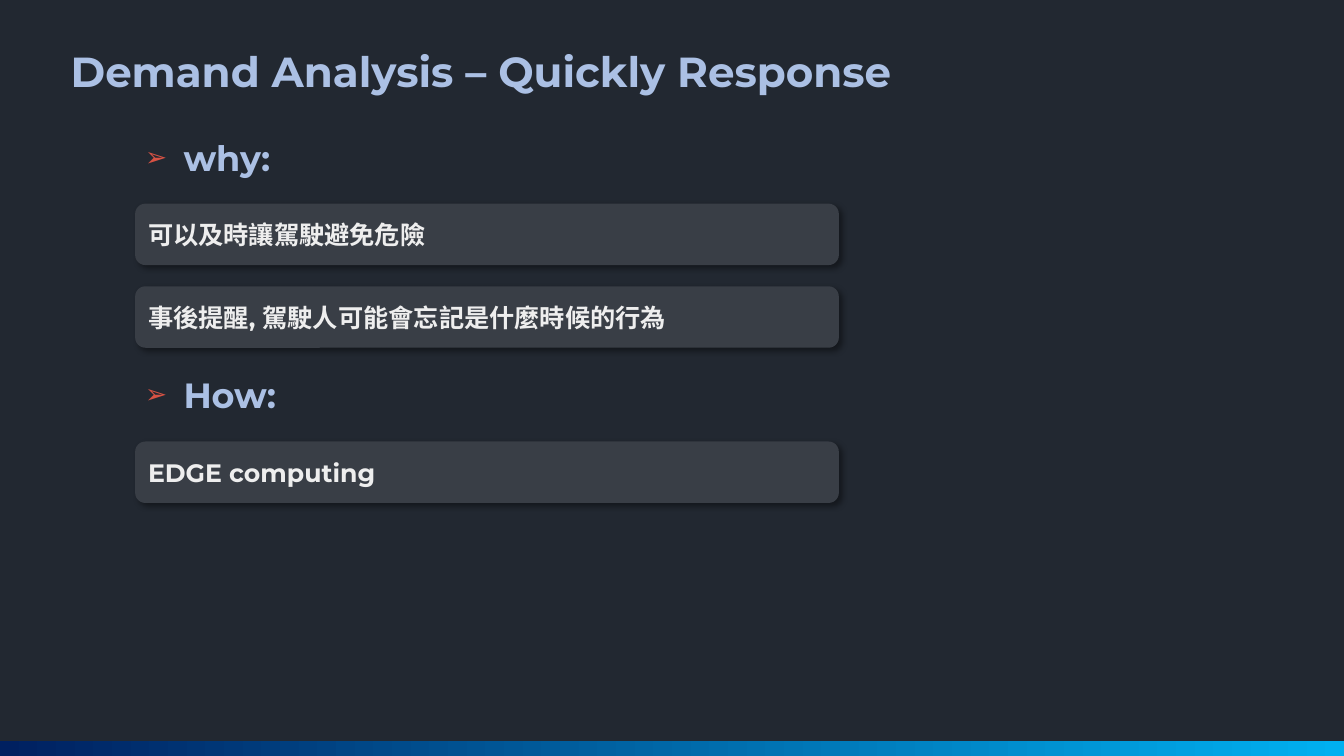
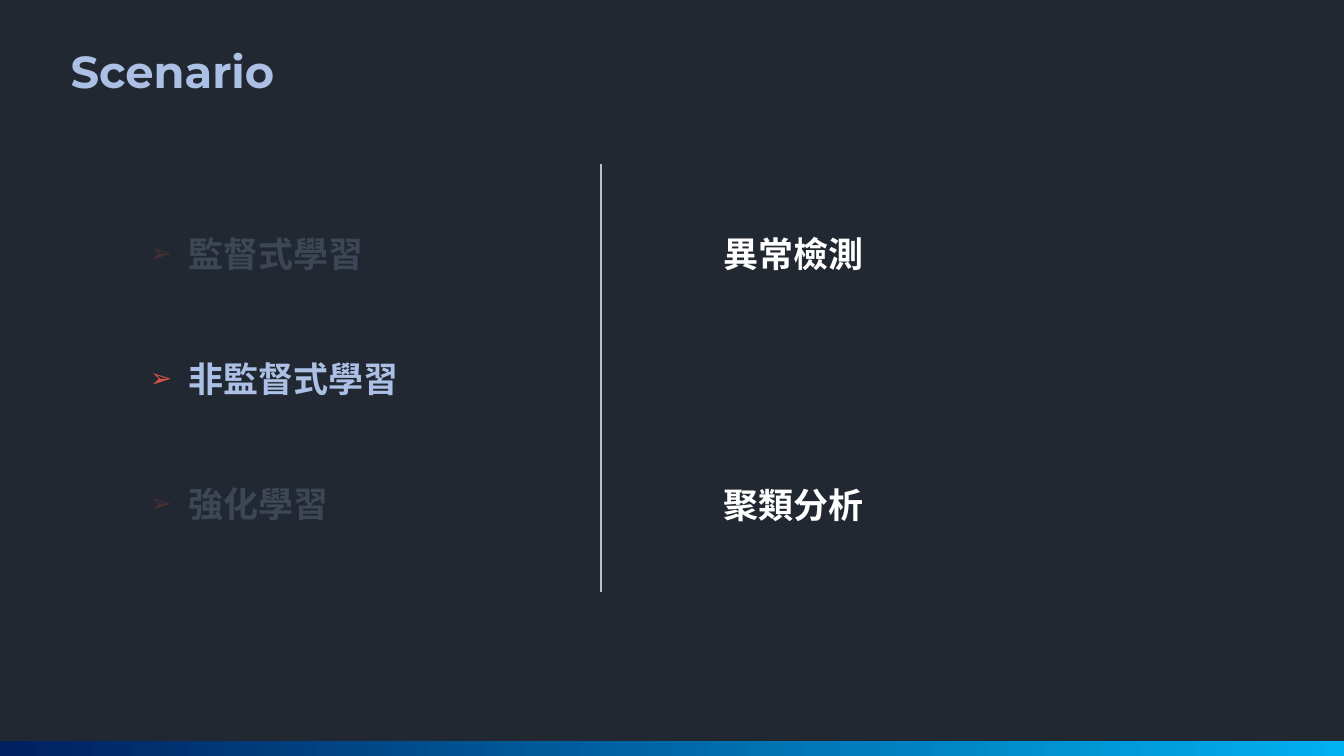
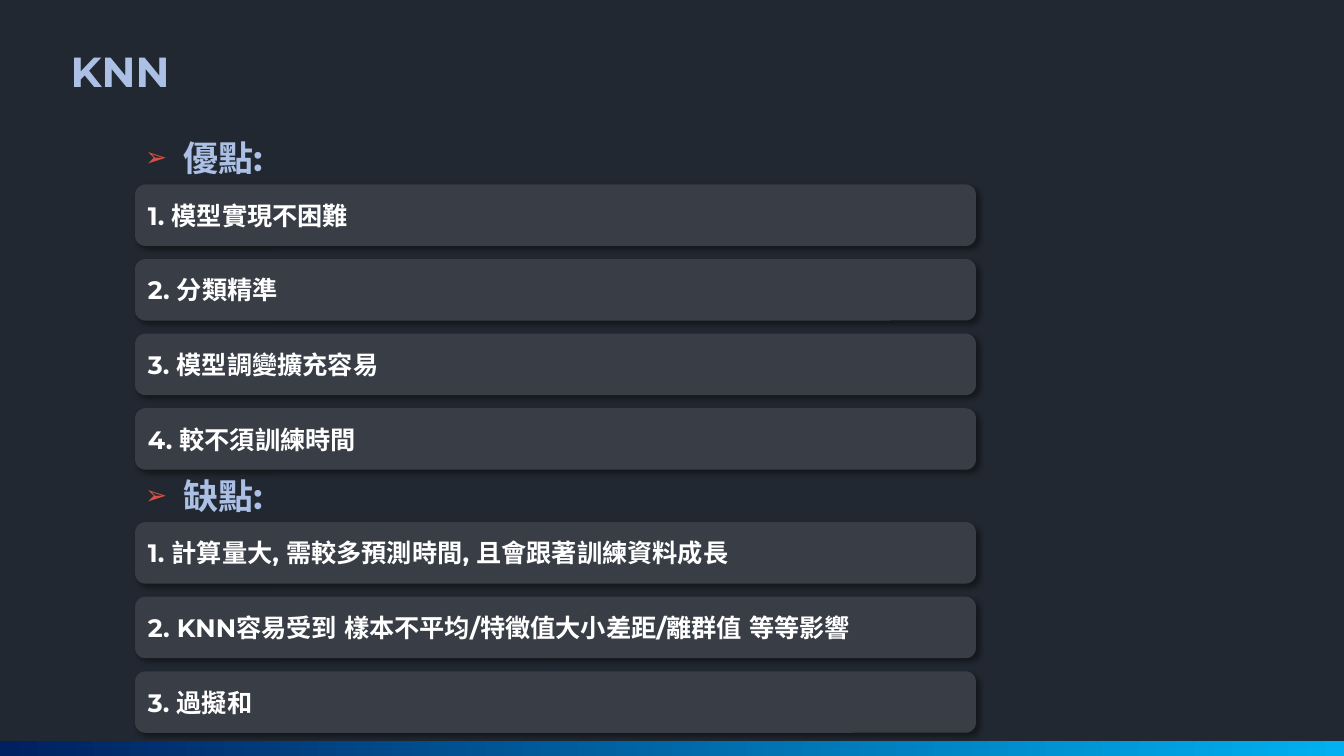
from dataclasses import dataclass

import lxml.etree
import pptx
import pptx.dml.color
import pptx.enum.shapes
import pptx.enum.text
import pptx.oxml.ns
import pptx.util

Inches = pptx.util.Inches
Pt = pptx.util.Pt
qn = pptx.oxml.ns.qn
ROUND = pptx.enum.shapes.MSO_SHAPE.ROUNDED_RECTANGLE

# Shared look
FONT = "Montserrat"
DARK, CARD, BLUE, RED = "222831", "393E46", "ABC0E4", "D75244"
WHITE, PALE, GREY = "FFFFFF", "EEEEEE", "BFBFBF"
NAVY, SKY = "002060", "00B0F0"
WIDE, HIGH, BAND = 13.33, 7.5, 0.15
LEFT, ROW, HEAD = 1.34, 0.61, 0.52


@dataclass
class Box:
    x: float
    y: float
    w: float
    h: float

    def size(self) -> tuple:
        return tuple(Inches(n) for n in (self.x, self.y, self.w, self.h))


@dataclass
class Group:
    """A bulleted heading with a stack of cards below it."""
    head: str
    top: float
    first: float
    cards: list[str]


@dataclass
class Page:
    title: str
    width: float
    pitch: float
    ink: str
    groups: list[Group]


PAGES = {
    "demand": Page("Demand Analysis – Quickly Response", 6.98, 0.82, PALE, [
        Group("why:", 1.3, 2.02, ["可以及時讓駕駛避免危險",
                                  "事後提醒, 駕駛人可能會忘記是什麼時候的行為"]),
        Group("How:", 3.65, 4.38, ["EDGE computing"]),
    ]),
    "knn": Page("KNN", 8.34, 0.74, WHITE, [
        Group("優點:", 1.3, 1.83, ["1. 模型實現不困難", "2. 分類精準",
                                 "3. 模型調變擴充容易", "4. 較不須訓練時間"]),
        Group("缺點:", 4.66, 5.18, ["1. 計算量大, 需較多預測時間, 且會跟著訓練資料成長",
                                  "2. KNN容易受到 樣本不平均/特徵值大小差距/離群值 等等影響",
                                  "3. 過擬和"]),
    ]),
}


def rgb(code: str) -> pptx.dml.color.RGBColor:
    return pptx.dml.color.RGBColor.from_string(code)


def add(node, tag: str, **attrs: str):
    return lxml.etree.SubElement(node, qn(tag), attrs)


def write(shape, text: str, size: float, ink: str) -> None:
    """Fill a shape with left-aligned bold text, centred in height."""
    frame = shape.text_frame
    frame.text = text
    frame.word_wrap = True
    frame.auto_size = pptx.enum.text.MSO_AUTO_SIZE.NONE
    frame.vertical_anchor = pptx.enum.text.MSO_ANCHOR.MIDDLE
    for para in frame.paragraphs:
        para.alignment = pptx.enum.text.PP_ALIGN.LEFT
        for run in para.runs:
            font = run.font
            font.size, font.bold = Pt(size), True
            font.color.rgb = rgb(ink)
            font.name = FONT
            add(font._element, "a:ea", typeface=FONT)


def place(shape, box: Box) -> None:
    shape.left, shape.top, shape.width, shape.height = box.size()


def title(slide, text: str, size: float = 30) -> None:
    place(slide.shapes.title, Box(0.6, 0.4, 12, ROW))
    write(slide.shapes.title, text, size, BLUE)


def bullets(shape, box: Box, items: list[str], gap: float = 0) -> None:
    place(shape, box)
    write(shape, "\n".join(items), 25, BLUE)
    for i, para in enumerate(shape.text_frame.paragraphs):
        props = para._p.get_or_add_pPr()
        props.set("marL", str(Inches(0.38)))
        props.set("indent", str(-Inches(0.38)))
        add(add(props, "a:buClr"), "a:srgbClr", val=RED)
        add(props, "a:buSzPct", val="75000")
        add(props, "a:buFont", typeface="Arial")
        add(props, "a:buChar", char="➢")
        para.space_before = Pt(gap if i else 0)


def block(slide, box: Box, fill: str):
    shape = slide.shapes.add_shape(ROUND, *box.size())
    shape.shadow.inherit = False
    shape.fill.solid()
    shape.fill.fore_color.rgb = rgb(fill)
    shape.line.fill.background()
    return shape


def card(slide, box: Box, text: str, ink: str) -> None:
    shape = block(slide, box, CARD)
    glow = add(shape._element.spPr.find(qn("a:effectLst")), "a:outerShdw",
               blurRad=str(Pt(4)), dist=str(Pt(3)), dir="2700000",
               algn="tl", rotWithShape="0")
    add(add(glow, "a:srgbClr", val="000000"), "a:alpha", val="40000")
    write(shape, text, 18, ink)


def veil(slide, box: Box) -> None:
    """Dim what lies below."""
    shape = block(slide, box, DARK)
    tint = shape._element.spPr.find(qn("a:solidFill"))[0]
    add(tint, "a:alpha", val="80000")


def master(deck, slide) -> None:
    """Put the background and the foot band on the slide master."""
    base = deck.slide_master
    base.background.fill.solid()
    base.background.fill.fore_color.rgb = rgb(DARK)
    band = slide.shapes.add_shape(
        pptx.enum.shapes.MSO_SHAPE.RECTANGLE,
        *Box(0, HIGH - BAND, WIDE, BAND).size())
    band.shadow.inherit = False
    band.line.fill.background()
    band.fill.gradient()
    band.fill.gradient_angle = 0
    for stop, ink in zip(band.fill.gradient_stops, (NAVY, SKY)):
        stop.color.rgb = rgb(ink)
    base.shapes._spTree.append(band._element)


def stacks(deck, page: Page):
    slide = deck.slides.add_slide(deck.slide_layouts[3])
    title(slide, page.title)
    for spot, group in enumerate(page.groups, 1):
        bullets(slide.placeholders[spot],
                Box(LEFT, group.top, 7.74, HEAD), [group.head])
        for i, text in enumerate(group.cards):
            top = group.first + i * page.pitch
            card(slide, Box(LEFT, top, page.width, ROW), text, page.ink)
    return slide


def scene(deck) -> None:
    slide = deck.slides.add_slide(deck.slide_layouts[1])
    title(slide, "Scenario", 32)

    # Kinds of learning, with the outer two dimmed
    bullets(slide.placeholders[1], Box(1.39, 2.25, 3.1, 3.01),
            ["監督式學習", "非監督式學習", "強化學習"], 59)
    for top in (1.62, 4.64):
        veil(slide, Box(1.08, top, 4.42, 1.73))

    # Divider
    line = slide.shapes.add_connector(
        pptx.enum.shapes.MSO_CONNECTOR.STRAIGHT,
        Inches(5.96), Inches(1.63), Inches(5.96), Inches(5.87))
    line.line.color.rgb = rgb(GREY)
    line.line.width = Pt(1.5)
    add(line._element.spPr, "a:effectLst")

    # Tasks
    for top, text in ((2.25, "異常檢測"), (4.74, "聚類分析")):
        label = slide.shapes.add_textbox(*Box(7.08, top, 3.93, HEAD).size())
        write(label, text, 25, WHITE)


def main() -> None:
    deck = pptx.Presentation()
    deck.slide_width, deck.slide_height = Inches(WIDE), Inches(HIGH)
    master(deck, stacks(deck, PAGES["demand"]))
    scene(deck)
    stacks(deck, PAGES["knn"])
    deck.save("out.pptx")


if __name__ == "__main__":
    main()
